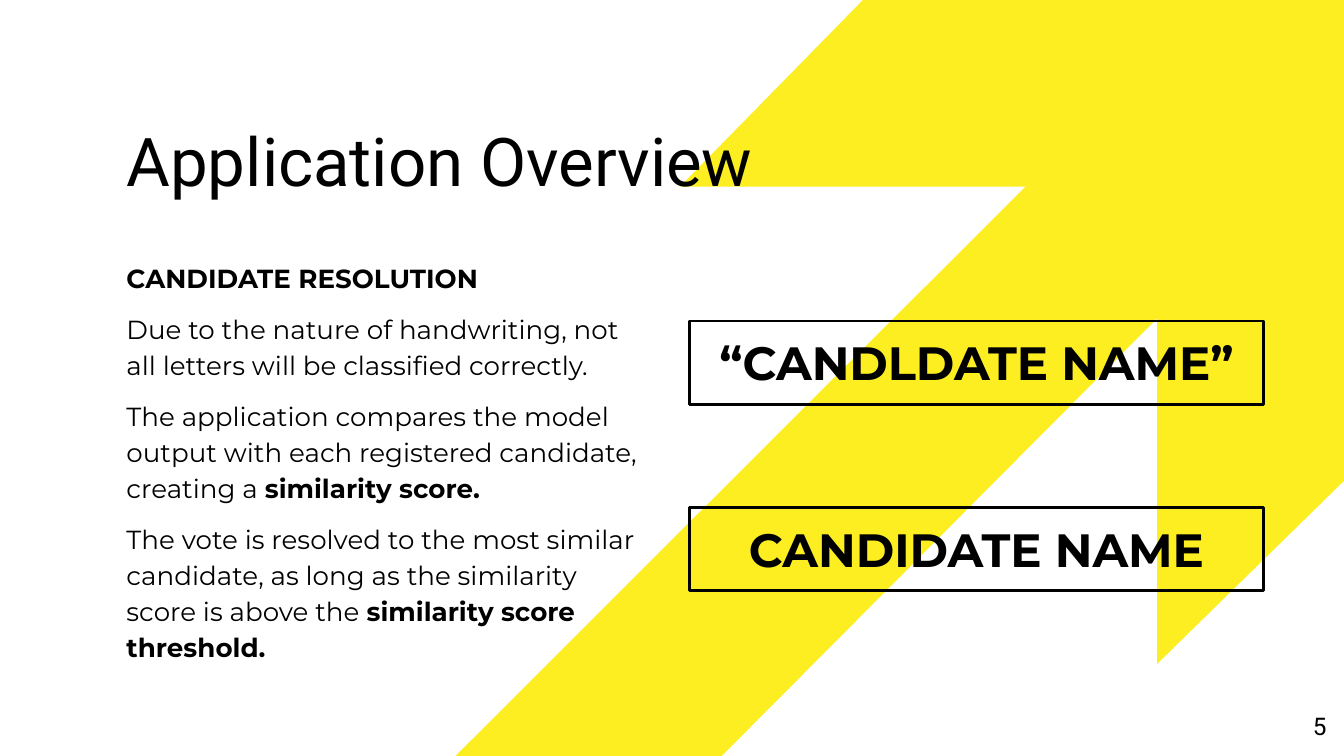
from lxml import etree
from pptx import Presentation
from pptx.dml.color import RGBColor
from pptx.enum.shapes import MSO_SHAPE
from pptx.enum.text import MSO_ANCHOR, MSO_AUTO_SIZE, PP_ALIGN
from pptx.oxml.ns import qn
from pptx.util import Cm, Pt

RECT = MSO_SHAPE.RECTANGLE
TOP, MID, BASE = MSO_ANCHOR.TOP, MSO_ANCHOR.MIDDLE, MSO_ANCHOR.BOTTOM
LEFT, MIDST, RIGHT = PP_ALIGN.LEFT, PP_ALIGN.CENTER, PP_ALIGN.RIGHT
FIXED = MSO_AUTO_SIZE.NONE

WIDE, HIGH = 25.4, 14.29
BLACK, YELLOW = "000000", "FCEE21"
HEAD = "Application Overview"
BODY = [
    [("CANDIDATE RESOLUTION", True)],
    [("Due to the nature of handwriting, not all letters will be "
      "classified correctly.", False)],
    [("The application compares the model output with each registered "
      "candidate, creating a ", False), ("similarity score.", True)],
    [("The vote is resolved to the most similar candidate, as long as the "
      "similarity score is above the ", False),
     ("similarity score threshold.", True)],
]
NAMES = ["“CANDLDATE NAME”", "CANDIDATE NAME"]
ARROW = [(16.31, 0), (12.85, 3.53), (19.38, 3.53), (8.61, HIGH),
         (13.64, HIGH), (21.87, 6.02), (21.87, 12.55), (WIDE, 9.09), (WIDE, 0)]


def color(code):
    return RGBColor.from_string(code)


def place(shape, x, y, w, h):
    shape.left, shape.top, shape.width, shape.height = map(Cm, (x, y, w, h))


def setup(shape, anchor, inset=0):
    frame = shape.text_frame
    frame.auto_size = FIXED
    frame.word_wrap = True
    frame.vertical_anchor = anchor
    frame.margin_left = frame.margin_right = Cm(inset)
    frame.margin_top = frame.margin_bottom = Cm(inset)
    return frame


def style(run, face, size, bold=False):
    font = run.font
    font.name, font.size, font.bold = face, Pt(size), bold
    font.color.rgb = color(BLACK)


def write(shape, text, face, size, anchor, align, bold=False, inset=0):
    frame = setup(shape, anchor, inset)
    frame.text = text
    para = frame.paragraphs[0]
    para.alignment = align
    style(para.runs[0], face, size, bold)
    return para


deck = Presentation()
deck.slide_width, deck.slide_height = Cm(WIDE), Cm(HIGH)
slide = deck.slides.add_slide(deck.slide_layouts[1])
shapes = slide.shapes
title, body = shapes.title, slide.placeholders[1]

path = shapes.build_freeform(Cm(ARROW[0][0]), Cm(ARROW[0][1]))
path.add_line_segments([(Cm(x), Cm(y)) for x, y in ARROW[1:]], close=True)
arrow = path.convert_to_shape()
arrow.shadow.inherit = False
arrow.fill.solid()
arrow.fill.fore_color.rgb = color(YELLOW)
arrow.line.fill.background()
title._element.addprevious(arrow._element)

place(title, 2.39, 2.41, 17, 1.4)
write(title, HEAD, "Roboto", 36, BASE, LEFT).line_spacing = 0.9

place(body, 2.39, 4.88, 9.68, 6.5)
frame = setup(body, TOP)
for i, parts in enumerate(BODY):
    para = frame.add_paragraph() if i else frame.paragraphs[0]
    props = para._p.get_or_add_pPr()
    props.set("marL", "0")
    props.set("indent", "0")
    etree.SubElement(props, qn("a:buNone"))
    para.alignment = LEFT
    para.line_spacing = 1.15
    para.space_before = Pt(8 if i else 0)
    for text, bold in parts:
        run = para.add_run()
        run.text = text
        style(run, "Montserrat", 14, bold)

page = shapes.add_textbox(Cm(23.55), Cm(13.18), Cm(1.52), Cm(1.09))
write(page, "5", "Roboto", 13, MID, RIGHT)

for i, name in enumerate(NAMES):
    box = shapes.add_shape(RECT, Cm(13.03), Cm(6.07 + 3.52 * i),
                           Cm(10.85), Cm(1.58))
    box.shadow.inherit = False
    box.fill.background()
    box.line.color.rgb = color(BLACK)
    box.line.width = Pt(1.5)
    write(box, name, "Montserrat", 25, TOP, MIDST, True, 0.25)

deck.save("out.pptx")
